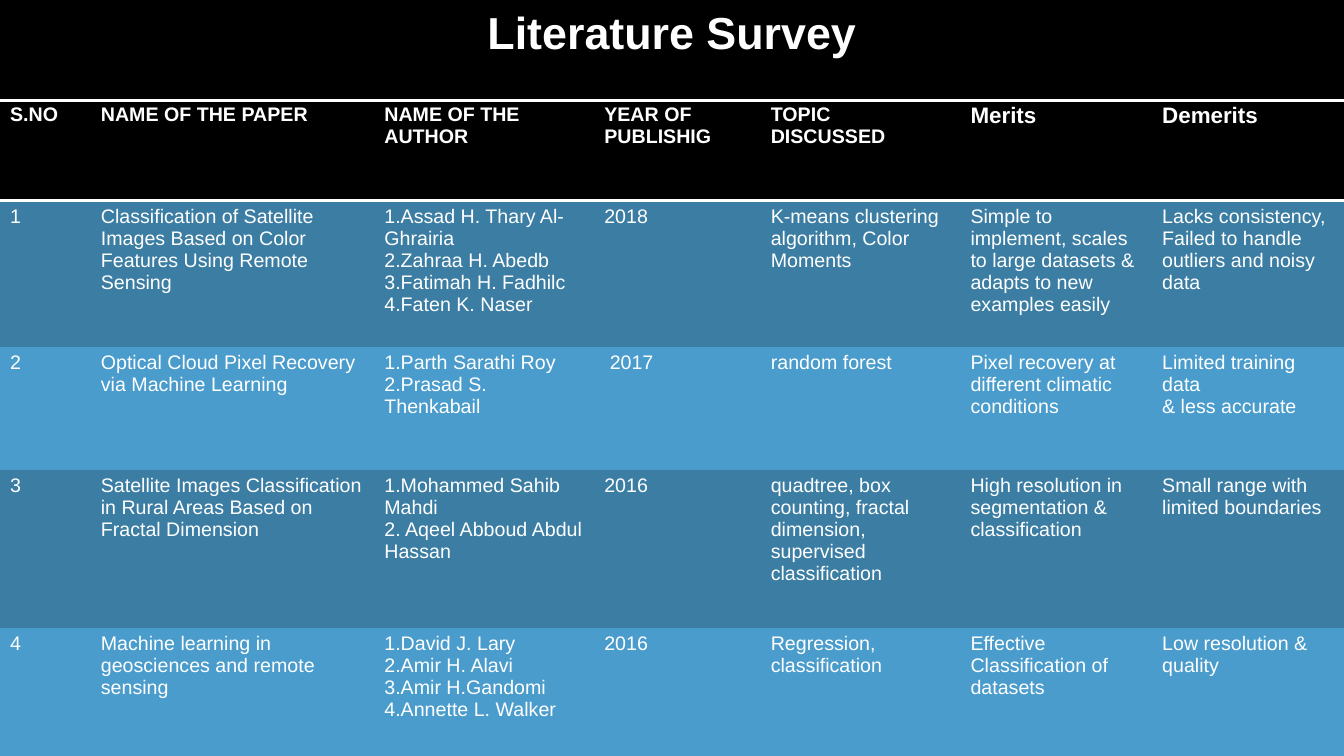
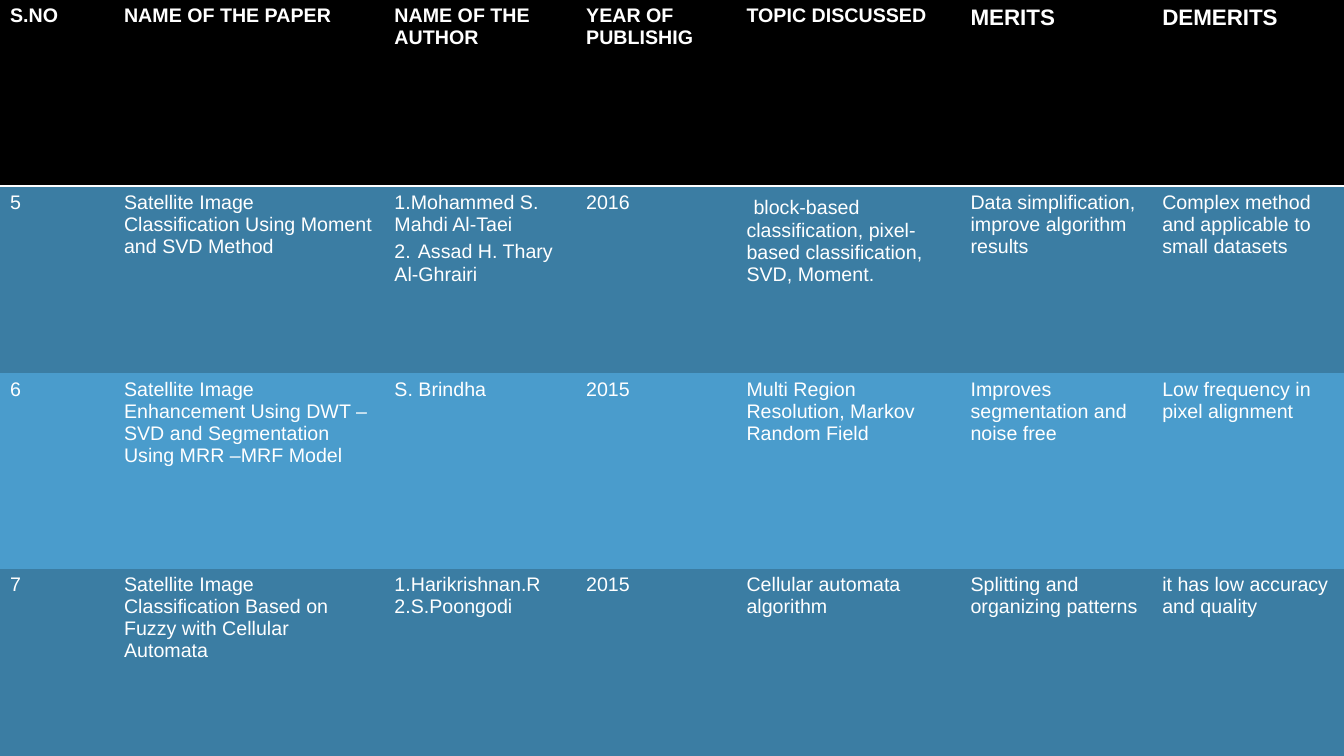
from dataclasses import dataclass
from lxml.etree import SubElement
from pptx import Presentation
from pptx.dml.color import RGBColor
from pptx.enum.text import PP_ALIGN
from pptx.oxml import parse_xml
from pptx.oxml.ns import nsdecls, qn
from pptx.util import Inches, Pt


@dataclass(frozen=True)
class Theme:
    font: str = "Arial"
    black: str = "000000"
    white: str = "FFFFFF"
    bands: tuple = ("3B7DA3", "4A9CCC")
    title: int = 32
    large: int = 18
    head: int = 16
    body: int = 14
    rule: int = 2
    plain: str = "{2D5ABB26-0587-4C30-8999-92F81FD0307C}"


THEME = Theme()


class Deck:
    def __init__(self, theme):
        self.theme = theme
        self.show = Presentation()
        self.show.slide_width = Inches(13.33)
        self.show.slide_height = Inches(7.5)
        self.page = None

    def add(self):
        self.page = self.show.slides.add_slide(self.show.slide_layouts[6])
        fill = self.page.background.fill
        fill.solid()
        fill.fore_color.rgb = RGBColor.from_string(self.theme.black)

    def grid(self, top, height, cols, rows):
        """Add a full-width table; top and height are shares of the slide."""
        wide, high = self.show.slide_width, self.show.slide_height
        deep = int(high * height)
        table = self.page.shapes.add_table(
            len(rows), len(cols), 0, int(high * top), wide, deep).table
        props = table._tbl.tblPr
        props.find(qn("a:tableStyleId")).text = self.theme.plain
        table.first_row = table.horz_banding = False
        for col, part in zip(table.columns, cols):
            col.width = int(wide * part / sum(cols))
        for row, part in zip(table.rows, rows):
            row.height = int(deep * part / sum(rows))
        return table

    def paint(self, cell, color, ruled=False):
        cell.fill.solid()
        cell.fill.fore_color.rgb = RGBColor.from_string(color)
        if ruled:
            line = parse_xml(f'<a:lnB {nsdecls("a")} w="{Pt(self.theme.rule)}"/>')
            solid = SubElement(line, qn("a:solidFill"))
            SubElement(solid, qn("a:srgbClr")).set("val", self.theme.white)
            cell._tc.get_or_add_tcPr().insert(0, line)

    def label(self, cell, text, size, bold=False, align=None):
        """Set paragraphs, each a string or a list of (text, size) runs."""
        paras = text.split("\n") if isinstance(text, str) else text
        frame = cell.text_frame
        for i, para in enumerate(paras):
            line = frame.add_paragraph() if i else frame.paragraphs[0]
            line.alignment = align
            runs = [(para, size)] if isinstance(para, str) else para
            for words, points in runs:
                run = line.add_run()
                run.text = words
                font = run.font
                font.name, font.size, font.bold = self.theme.font, Pt(points), bold
                font.color.rgb = RGBColor.from_string(self.theme.white)

    def title(self, text):
        cell = self.grid(0.005, 0.128, [1], [1]).cell(0, 0)
        self.paint(cell, self.theme.black, ruled=True)
        self.label(cell, text, self.theme.title, True, PP_ALIGN.CENTER)

    def survey(self, top, cols, rows, heads, papers):
        look = self.theme
        table = self.grid(top, 1 - top, cols, rows)
        for i, text in enumerate(heads):
            cell = table.cell(0, i)
            self.paint(cell, look.black, ruled=True)
            self.label(cell, text, look.body if i < len(HEADS) else look.head, True)
        for j, paper in enumerate(papers):
            for i, text in enumerate(paper):
                cell = table.cell(j + 1, i)
                self.paint(cell, look.bands[j % 2])
                self.label(cell, text, look.body)


HEADS = ["S.NO", "NAME OF THE PAPER", "NAME OF THE AUTHOR",
         "YEAR OF PUBLISHIG", "TOPIC DISCUSSED"]

FIRST = [
    ["1", "Classification of Satellite Images Based on Color Features Using Remote Sensing",
     "1.Assad H. Thary Al-Ghrairia\n2.Zahraa H. Abedb 3.Fatimah H. Fadhilc 4.Faten K. Naser",
     "2018", "K-means clustering algorithm, Color Moments",
     "Simple to implement, scales to large datasets & adapts to new examples easily",
     "Lacks consistency,\nFailed to handle outliers and noisy data"],
    ["2", "Optical Cloud Pixel Recovery via Machine Learning",
     "1.Parth Sarathi Roy\n2.Prasad S. Thenkabail", " 2017", "random forest",
     "Pixel recovery at different climatic conditions",
     "Limited training data\n& less accurate"],
    ["3", "Satellite Images Classification in Rural Areas Based on Fractal Dimension",
     "1.Mohammed Sahib Mahdi\n2. Aqeel Abboud Abdul Hassan", "2016",
     "quadtree, box counting, fractal dimension, supervised classification",
     "High resolution in segmentation & classification",
     "Small range with limited boundaries"],
    ["4", "Machine learning in geosciences and remote sensing",
     "1.David J. Lary\n2.Amir H. Alavi\n3.Amir H.Gandomi\n4.Annette L. Walker",
     "2016", "Regression, classification",
     "Effective Classification of datasets", "Low resolution & quality"],
]

SECOND = [
    ["5", "Satellite Image Classification Using Moment and SVD Method",
     ["1.Mohammed S. Mahdi Al-Taei",
      [("2.", THEME.body), (" ", THEME.large), ("Assad H. Thary Al-Ghrairi", THEME.body)]],
     "2016",
     [[(" ", THEME.large),
       ("block-based classification, pixel-based classification, SVD, Moment.", THEME.body)]],
     "Data simplification, improve algorithm results",
     "Complex method and applicable to small datasets"],
    ["6", "Satellite Image Enhancement Using DWT – SVD and Segmentation Using MRR –MRF Model",
     "S. Brindha", "2015", "Multi Region Resolution, Markov Random Field",
     "Improves segmentation and noise free", "Low frequency in pixel alignment"],
    ["7", "Satellite Image Classification Based on Fuzzy with Cellular Automata",
     "1.Harikrishnan.R\n2.S.Poongodi", "2015", "Cellular automata algorithm",
     "Splitting and organizing patterns", "it has low accuracy and quality"],
]


def main():
    deck = Deck(THEME)
    deck.add()
    deck.survey(0.13, [0.9, 2.81, 2.18, 1.65, 1.98, 1.9, 1.9],
                [1.01, 1.45, 1.22, 1.56, 1.27], HEADS + ["Merits", "Demerits"], FIRST)
    deck.title("Literature Survey")
    deck.add()
    deck.survey(0, [1.13, 2.68, 1.9, 1.59, 2.22, 1.9, 1.9],
                [1.85, 1.86, 1.94, 1.86], HEADS + ["MERITS", "DEMERITS"], SECOND)
    deck.show.save("out.pptx")


if __name__ == "__main__":
    main()
